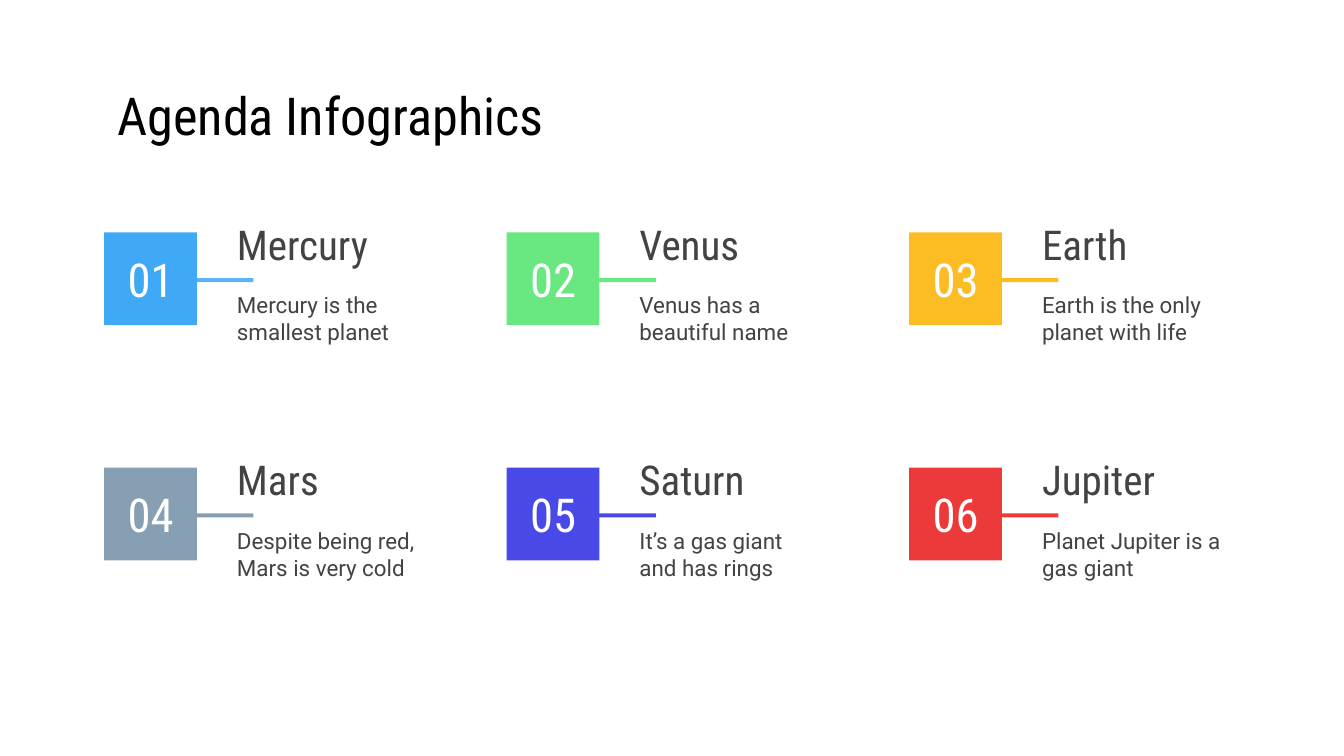
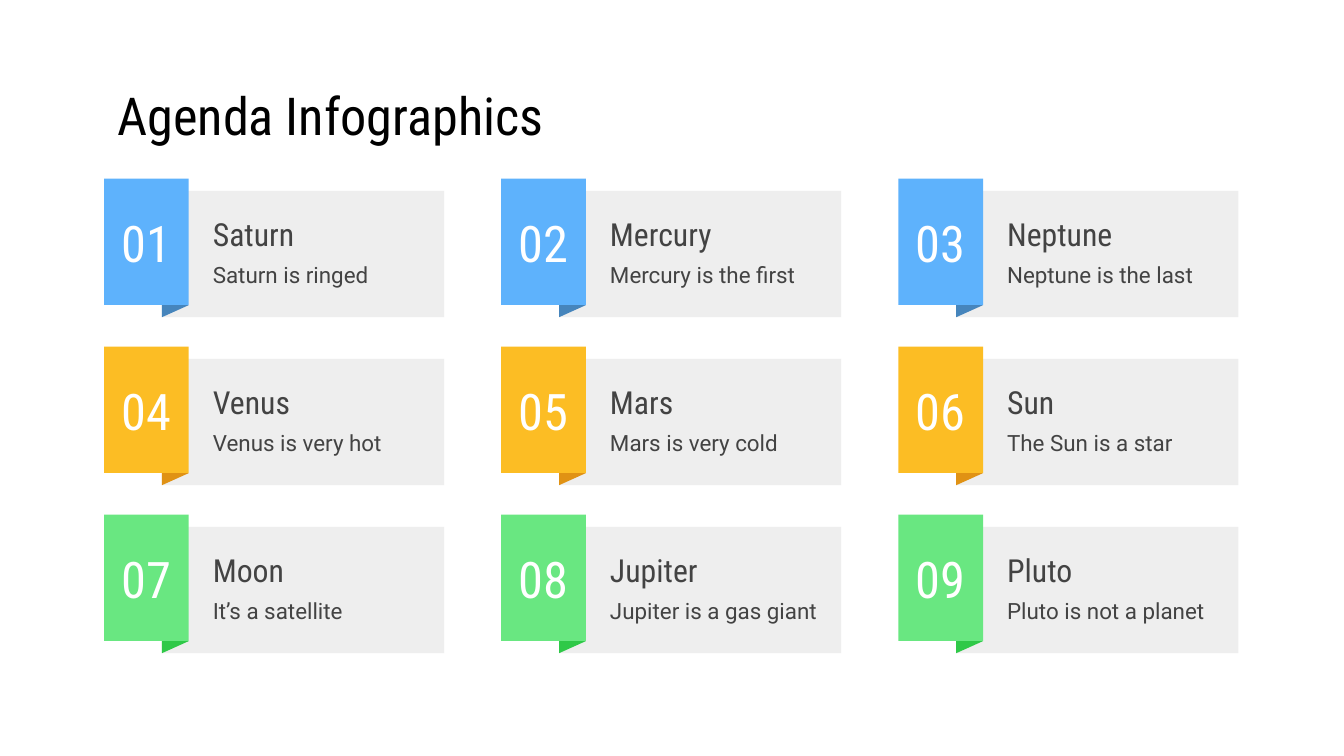
from pptx import Presentation
from pptx import util as u
from pptx.dml.color import RGBColor
from pptx.enum import shapes, text

WHITE = RGBColor(0xFF, 0xFF, 0xFF)
BLACK = RGBColor(0x00, 0x00, 0x00)
DARK_GRAY = RGBColor(0x43, 0x43, 0x43)
LIGHT_GRAY = RGBColor(0xEE, 0xEE, 0xEE)
BRIGHT_BLUE = RGBColor(0x3F, 0xA9, 0xF5)
BLUE = RGBColor(0x5E, 0xB2, 0xFC)
DARK_BLUE = RGBColor(0x46, 0x85, 0xBC)
GREEN = RGBColor(0x69, 0xE7, 0x81)
DARK_GREEN = RGBColor(0x2F, 0xC9, 0x48)
YELLOW = RGBColor(0xFC, 0xBD, 0x24)
DARK_YELLOW = RGBColor(0xE0, 0x92, 0x14)
SLATE = RGBColor(0x86, 0x9F, 0xB2)
INDIGO = RGBColor(0x49, 0x49, 0xE7)
RED = RGBColor(0xEC, 0x3A, 0x3B)

HEADING_FONT = "Roboto Condensed"
BODY_FONT = "Roboto"
TITLE = "Agenda Infographics"

# Widescreen page with the content centred across it
PAGE_WIDTH = 10
PAGE_HEIGHT = PAGE_WIDTH * 9 / 16
CONTENT_WIDTH = 8.45
LEFT = (PAGE_WIDTH - CONTENT_WIDTH) / 2
COLUMNS = 3

FRAME_FORMAT = {
    "word_wrap": True,
    "auto_size": text.MSO_AUTO_SIZE.NONE,
    "vertical_anchor": text.MSO_ANCHOR.MIDDLE,
    "margin_left": u.Inches(0.1),
    "margin_right": u.Inches(0.1),
    "margin_top": u.Inches(0.1),
    "margin_bottom": u.Inches(0.1),
}

# Square colour, stripe colour, planet, description
PLANETS = [
    (BRIGHT_BLUE, BLUE, "Mercury", "Mercury is the smallest planet"),
    (GREEN, GREEN, "Venus", "Venus has a beautiful name"),
    (YELLOW, YELLOW, "Earth", "Earth is the only planet with life"),
    (SLATE, SLATE, "Mars", "Despite being red, Mars is very cold"),
    (INDIGO, INDIGO, "Saturn", "It’s a gas giant and has rings"),
    (RED, RED, "Jupiter", "Planet Jupiter is a gas giant"),
]

# Ribbon and fold colours, one pair per row
RIBBONS = [(BLUE, DARK_BLUE), (YELLOW, DARK_YELLOW), (GREEN, DARK_GREEN)]
CARDS = [
    ("Saturn", "Saturn is ringed"),
    ("Mercury", "Mercury is the first"),
    ("Neptune", "Neptune is the last"),
    ("Venus", "Venus is very hot"),
    ("Mars", "Mars is very cold"),
    ("Sun", "The Sun is a star"),
    ("Moon", "It’s a satellite"),
    ("Jupiter", "Jupiter is a gas giant"),
    ("Pluto", "Pluto is not a planet"),
]


def inches(*lengths):
    return [u.Inches(length) for length in lengths]


def write(owner, words, size, font, color, align=text.PP_ALIGN.LEFT):
    for name, value in FRAME_FORMAT.items():
        setattr(owner.text_frame, name, value)
    paragraph = owner.text_frame.paragraphs[0]
    paragraph.alignment = align
    run = paragraph.add_run()
    run.text = words
    for name, value in {"size": u.Pt(size), "name": font}.items():
        setattr(run.font, name, value)
    run.font.color.rgb = color


def label(parts, box, words, size, font, color=DARK_GRAY):
    write(parts.add_textbox(*inches(*box)), words, size, font, color)


def paint(part, color):
    part.shadow.inherit = False
    part.fill.solid()
    part.fill.fore_color.rgb = color
    part.line.fill.background()


def block(parts, box, color):
    panel = parts.add_shape(shapes.MSO_SHAPE.RECTANGLE, *inches(*box))
    paint(panel, color)
    return panel


def number_block(parts, box, color, number, size):
    badge = block(parts, box, color)
    write(badge, f"{number:02}", size, HEADING_FONT, WHITE, text.PP_ALIGN.CENTER)


def grid_place(index, top, column_span, row_step):
    row, column = divmod(index, COLUMNS)
    return LEFT + column * column_span / (COLUMNS - 1), top + row * row_step


def agenda_slide(deck):
    slide = deck.slides.add_slide(deck.slide_layouts[6])
    label(slide.shapes, (LEFT, 0.59, CONTENT_WIDTH, 0.53), TITLE, 28,
          HEADING_FONT, BLACK)
    return slide


def planet_item(parts, x, y, number, square, stripe, planet, description):
    # Stripe behind the numbered square
    block(parts, (x + 0.2, y + 0.34, 0.91, 0.03), stripe)
    number_block(parts, (x, y, 0.69, 0.69), square, number, 25)
    # Description and heading
    label(parts, (x + 0.89, y + 0.37, 1.57, 0.54), description, 12, BODY_FONT)
    label(parts, (x + 0.89, y - 0.09, 1.57, 0.35), planet, 22, HEADING_FONT)


def ribbon_card(parts, x, y, number, ribbon, fold, heading, description):
    # Card behind the numbered ribbon
    block(parts, (x + 0.43, y + 0.09, 2.1, 0.94), LIGHT_GRAY)
    number_block(parts, (x, y, 0.63, 0.94), ribbon, number, 27)
    # Folded corner under the ribbon
    corner = parts.build_freeform(*inches(x + 0.43, y + 0.94))
    corner.add_line_segments(
        [inches(x + 0.43, y + 1.03), inches(x + 0.63, y + 0.94)], close=True)
    paint(corner.convert_to_shape(), fold)
    # Description and heading
    label(parts, (x + 0.71, y + 0.51, 1.82, 0.4), description, 12, BODY_FONT)
    label(parts, (x + 0.71, y + 0.21, 1.82, 0.4), heading, 17, HEADING_FONT)


def planets_slide(deck):
    slide = agenda_slide(deck)
    for index, planet in enumerate(PLANETS):
        x, y = grid_place(index, top=1.73, column_span=5.99, row_step=1.75)
        planet_item(slide.shapes.add_group_shape().shapes, x, y, index + 1, *planet)


def cards_slide(deck):
    slide = agenda_slide(deck)
    for index, card in enumerate(CARDS):
        x, y = grid_place(index, top=1.33, column_span=5.91, row_step=1.25)
        ribbon_card(slide.shapes.add_group_shape().shapes, x, y, index + 1,
                    *RIBBONS[index // COLUMNS], *card)


def main():
    deck = Presentation()
    deck.slide_width, deck.slide_height = inches(PAGE_WIDTH, PAGE_HEIGHT)
    planets_slide(deck)
    cards_slide(deck)
    deck.save("out.pptx")


if __name__ == "__main__":
    main()
